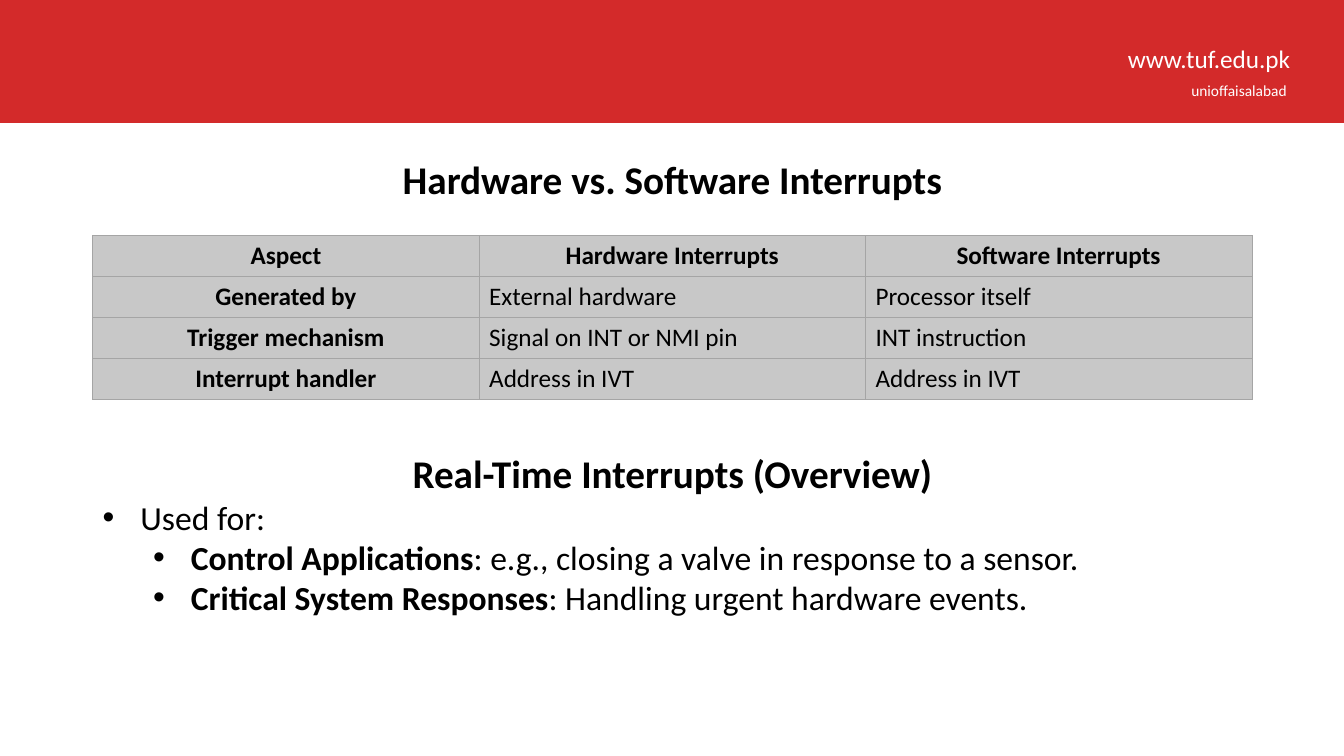
import pptx
import pptx.util
import pptx.dml.color
import pptx.enum.shapes
import pptx.enum.text
import pptx.oxml
import pptx.oxml.ns

Pt = pptx.util.Pt
ALIGN = pptx.enum.text.PP_ALIGN
ANCHOR = pptx.enum.text.MSO_ANCHOR
HUES = {"red": "D32A2A", "white": "FFFFFF", "ink": "000000",
        "grey": "C8C8C8", "rule": "A5A5A5"}

# Content: a paragraph is (align, bullet level or None, runs of (text, style))
STYLES = {
    "site": {"size": 18, "bold": False, "hue": "white"},
    "handle": {"size": 11, "bold": False, "hue": "white"},
    "title": {"size": 28, "bold": True, "hue": "ink"},
    "body": {"size": 24, "bold": False, "hue": "ink"},
    "strong": {"size": 24, "bold": True, "hue": "ink"},
    "cell": {"size": 18, "bold": False, "hue": "ink"},
    "head": {"size": 18, "bold": True, "hue": "ink"},
}
LEFT, WIDE = 66.24, 828
BOXES = [
    ((843.84, 54.72, 127.44, 20.88), ANCHOR.TOP,
     [(ALIGN.LEFT, None, [("unioffaisalabad", "handle")])]),
    ((798.48, 27.36, 205.2, 29), ANCHOR.TOP,
     [(ALIGN.LEFT, None, [("www.tuf.edu.pk", "site")])]),
    ((LEFT, 107.28, WIDE, 41), ANCHOR.MIDDLE,
     [(ALIGN.CENTER, None, [("Hardware vs. Software Interrupts", "title")])]),
    ((LEFT, 317.52, WIDE, 128.2), ANCHOR.TOP, [
        (ALIGN.CENTER, None, [("Real-Time Interrupts (Overview)", "title")]),
        (ALIGN.LEFT, 0, [("Used for:", "body")]),
        (ALIGN.LEFT, 1, [
            ("Control Applications", "strong"),
            (": e.g., closing a valve in response to a sensor.", "body")]),
        (ALIGN.LEFT, 1, [
            ("Critical System Responses", "strong"),
            (": Handling urgent hardware events.", "body")]),
    ]),
]
ROWS = [
    ("Aspect", "Hardware Interrupts", "Software Interrupts"),
    ("Generated by", "External hardware", "Processor itself"),
    ("Trigger mechanism", "Signal on INT or NMI pin", "INT instruction"),
    ("Interrupt handler", "Address in IVT", "Address in IVT"),
]
TOP, ROW_H = 168.34, 28.8


def tint(name):
    return pptx.dml.color.RGBColor.from_string(HUES[name])


def add_xml(host, tag, inner="", **attrs):
    text = " ".join(f'{key}="{val}"' for key, val in attrs.items())
    space = pptx.oxml.ns.nsdecls("a")
    host.append(pptx.oxml.parse_xml(f"<a:{tag} {space} {text}>{inner}</a:{tag}>"))


def add_run(para, text, style):
    run = para.add_run()
    run.text = text
    look = STYLES[style]
    form = {"name": "Calibri", "size": Pt(look["size"]), "bold": look["bold"]}
    for key, val in form.items():
        setattr(run.font, key, val)
    run.font.color.rgb = tint(look["hue"])


def add_bullet(para, level):
    para.level = level
    props = para._p.get_or_add_pPr()
    props.set("marL", str(Pt(27 + 36 * level)))
    props.set("indent", str(-Pt(27)))
    add_xml(props, "buFont", typeface="Arial")
    add_xml(props, "buChar", char="•")


def add_box(slide, place, anchor, paras):
    frame = slide.shapes.add_textbox(*map(Pt, place)).text_frame
    form = {"word_wrap": True, "vertical_anchor": anchor,
            "auto_size": pptx.enum.text.MSO_AUTO_SIZE.SHAPE_TO_FIT_TEXT}
    for key, val in form.items():
        setattr(frame, key, val)
    for num, (align, level, runs) in enumerate(paras):
        para = frame.add_paragraph() if num else frame.paragraphs[0]
        para.alignment = align
        if level is not None:
            add_bullet(para, level)
        for text, style in runs:
            add_run(para, text, style)


def fill_cell(cell, text, head):
    cell.vertical_anchor = ANCHOR.MIDDLE
    para = cell.text_frame.paragraphs[0]
    para.alignment = ALIGN.CENTER if head else ALIGN.LEFT
    add_run(para, text, "head" if head else "cell")
    # Borders come before the fill in the cell properties
    line = f'<a:solidFill><a:srgbClr val="{HUES["rule"]}"/></a:solidFill>'
    for side in ("lnL", "lnR", "lnT", "lnB"):
        add_xml(cell._tc.get_or_add_tcPr(), side, line, w=Pt(0.5))
    cell.fill.solid()
    cell.fill.fore_color.rgb = tint("grey")


def main():
    deck = pptx.Presentation()
    deck.slide_width, deck.slide_height = Pt(960), Pt(540)
    slide = deck.slides.add_slide(deck.slide_layouts[6])

    # Banner
    band = slide.shapes.add_shape(pptx.enum.shapes.MSO_SHAPE.RECTANGLE,
                                  0, 0, Pt(960), Pt(87.84))
    band.shadow.inherit = False
    band.fill.solid()
    band.fill.fore_color.rgb = tint("red")
    band.line.fill.background()

    # Comparison table
    grid = slide.shapes.add_table(len(ROWS), len(ROWS[0]), Pt(LEFT), Pt(TOP),
                                  Pt(WIDE), Pt(ROW_H * len(ROWS))).table
    for row, texts in enumerate(ROWS):
        for col, text in enumerate(texts):
            fill_cell(grid.cell(row, col), text, row == 0 or col == 0)

    # Banner text, titles and bullets
    for box in BOXES:
        add_box(slide, *box)
    deck.save("out.pptx")


if __name__ == "__main__":
    main()
